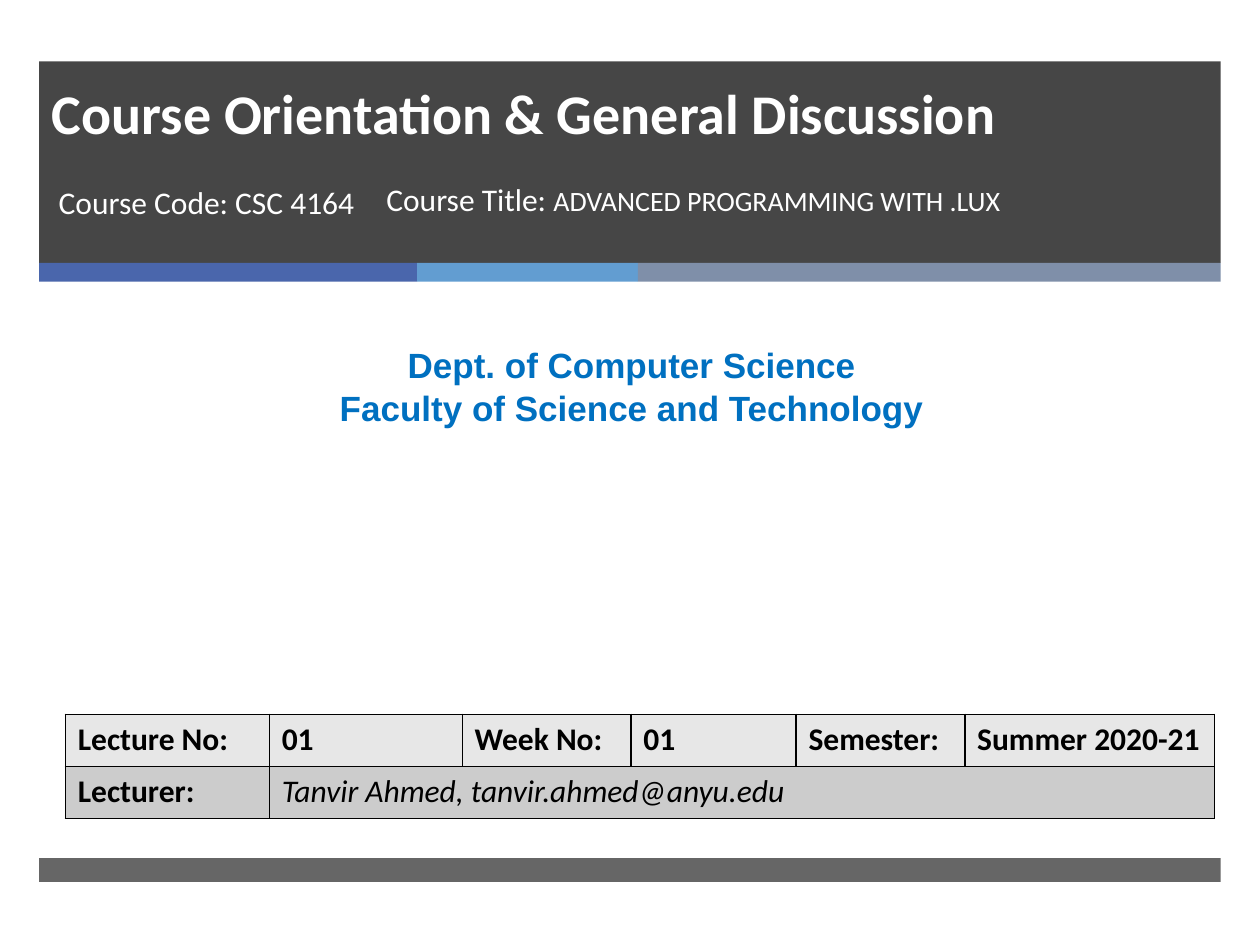
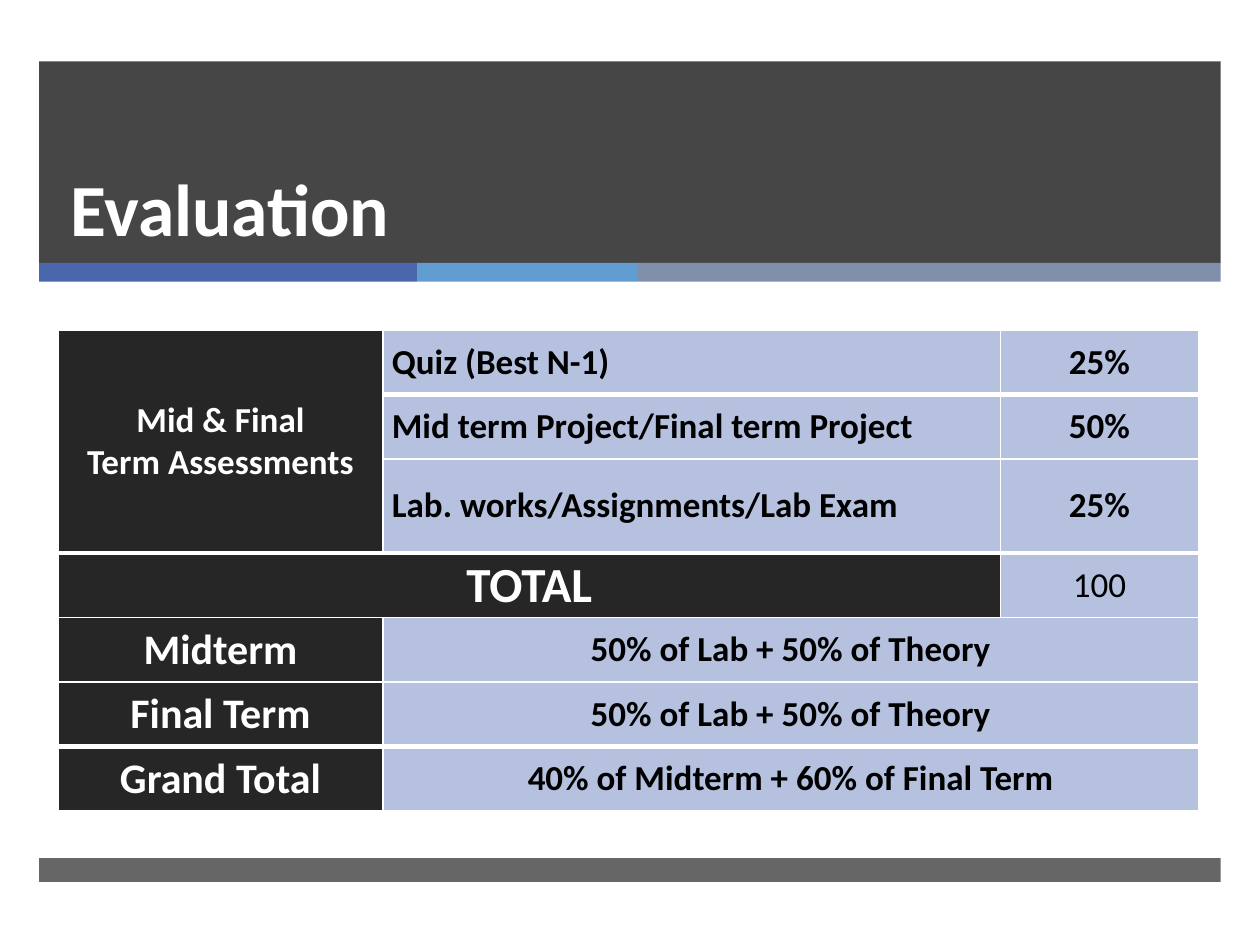
from dataclasses import dataclass

from pptx import Presentation
from pptx.dml.color import RGBColor
from pptx.enum.shapes import MSO_SHAPE
from pptx.enum.text import MSO_ANCHOR, MSO_AUTO_SIZE, PP_ALIGN
from pptx.oxml.ns import qn
from pptx.util import Cm, Pt
from lxml.etree import SubElement

WHITE, BLACK, DARK = "FFFFFF", "000000", "262626"
BLUE, PALE_BLUE = "0070C0", "B5C1DF"
LIGHT_GRAY, MID_GRAY = "E7E7E7", "CCCCCC"
STRIPES = [("4A66AC", 7.62), ("629DD1", 4.45), ("7F8FA9", 11.75)]
EDGE = 0.79
BAND_WIDTH = sum(width for _, width in STRIPES)


def color(value):
    return RGBColor.from_string(value)


@dataclass
class TextStyle:
    size: float
    color: str = BLACK
    bold: bool = False
    italic: bool = False
    align: PP_ALIGN = PP_ALIGN.LEFT
    font: str = "Calibri"
    fill: str = ""


class Deck:
    def __init__(self):
        self.presentation = Presentation()
        self.presentation.slide_width = Cm(25.4)
        self.presentation.slide_height = Cm(19.05)
        self.layout = self.presentation.slide_layouts[0]
        self.slide = None

    def add_slide(self):
        self.slide = self.presentation.slides.add_slide(self.layout)

    def rectangle(self, left, top, width, height, fill, opacity=100):
        shape = self.slide.shapes.add_shape(
            MSO_SHAPE.RECTANGLE, Cm(left), Cm(top), Cm(width), Cm(height))
        shape.shadow.inherit = False
        shape.fill.solid()
        shape.fill.fore_color.rgb = color(fill)
        shape.line.fill.background()
        if opacity < 100:
            tint = shape.element.spPr.find(qn("a:solidFill"))[0]
            SubElement(tint, qn("a:alpha")).set("val", str(opacity * 1000))
        return shape

    def bands_on_layout(self):
        shapes = [self.rectangle(EDGE, 1.24, BAND_WIDTH, 4.06, DARK, 85)]
        left = EDGE
        for fill, width in STRIPES:
            shapes.append(self.rectangle(left, 5.3, width, 0.38, fill))
            left += width
        shapes.append(self.rectangle(EDGE, 17.3, BAND_WIDTH, 0.48, DARK, 70))
        for position, shape in enumerate(shapes):
            shape.element.nvSpPr.cNvPr.id = 20 + position
            self.layout.shapes.element.insert(2 + position, shape.element)

    def format(self, text_frame, style):
        for paragraph in text_frame.paragraphs:
            paragraph.alignment = style.align
            paragraph.space_before = Pt(0)
            for run in paragraph.runs:
                font = run.font
                font.name = style.font
                font.size = Pt(style.size)
                font.bold = style.bold
                font.italic = style.italic
                font.color.rgb = color(style.color)

    def fill_text(self, shape, box, text, style, anchor):
        shape.left, shape.top, shape.width, shape.height = map(Cm, box)
        text_frame = shape.text_frame
        text_frame.text = text
        text_frame.word_wrap = True
        text_frame.auto_size = MSO_AUTO_SIZE.NONE
        text_frame.vertical_anchor = anchor
        self.format(text_frame, style)
        return text_frame

    def title(self, box, text, size, line_spacing=None):
        style = TextStyle(size, WHITE, bold=True)
        text_frame = self.fill_text(
            self.slide.shapes.title, box, text, style, MSO_ANCHOR.BOTTOM)
        if line_spacing:
            text_frame.paragraphs[0].line_spacing = Pt(line_spacing)

    def subtitle(self, box, text, style):
        self.fill_text(self.slide.placeholders[1], box, text, style, MSO_ANCHOR.TOP)

    def remove_subtitle(self):
        element = self.slide.placeholders[1].element
        element.getparent().remove(element)

    def text_box(self, box, text, style):
        shape = self.slide.shapes.add_textbox(*map(Cm, box))
        return self.fill_text(shape, box, text, style, MSO_ANCHOR.TOP)

    def borders(self, cell, line_color, top, bottom):
        properties = cell._tc.get_or_add_tcPr()
        for side, width in (("L", 1), ("R", 1), ("T", top), ("B", bottom)):
            line = SubElement(properties, qn(f"a:ln{side}"))
            line.set("w", str(Pt(width)))
            fill = SubElement(line, qn("a:solidFill"))
            SubElement(fill, qn("a:srgbClr")).set("val", line_color)

    def table(self, left, top, widths, heights, rows, merges, line_color,
              margins=(0.25, 0.13), anchor=MSO_ANCHOR.TOP, thick_after=()):
        table = self.slide.shapes.add_table(
            len(heights), len(widths), Cm(left), Cm(top),
            Cm(sum(widths)), Cm(sum(heights))).table
        table.first_row = table.horz_banding = False
        for column, width in zip(table.columns, widths):
            column.width = Cm(width)
        for row, height in zip(table.rows, heights):
            row.height = Cm(height)
        for first, last in merges:
            table.cell(*first).merge(table.cell(*last))
        for row_index, row in enumerate(rows):
            for column_index, content in enumerate(row):
                cell = table.cell(row_index, column_index)
                if content is None:
                    self.borders(cell, line_color, 1, 1)
                    continue
                text, style = content
                last_row = row_index + cell.span_height - 1 if cell.is_merge_origin else row_index
                self.borders(cell, line_color,
                             3 if row_index - 1 in thick_after else 1,
                             3 if last_row in thick_after else 1)
                cell.fill.solid()
                cell.fill.fore_color.rgb = color(style.fill)
                cell.margin_left = cell.margin_right = Cm(margins[0])
                cell.margin_top = cell.margin_bottom = Cm(margins[1])
                cell.vertical_anchor = anchor
                cell.text_frame.text = text
                self.format(cell.text_frame, style)


def cover_slide(deck):
    course = TextStyle(18, WHITE)
    deck.title((EDGE, 1.65, 22.07, 1.42), "Course Orientation & General Discussion", 32)
    deck.subtitle((0.93, 3.56, 6.62, 1.96), "Course Code: CSC 4164", course)
    deck.text_box(
        (0.2, 6.81, 25.07, 1.96),
        "Dept. of Computer Science\nFaculty of Science and Technology",
        TextStyle(20, BLUE, bold=True, align=PP_ALIGN.CENTER, font="Arial"))

    heading = TextStyle(18, bold=True, fill=LIGHT_GRAY)
    lecturer = TextStyle(18, bold=True, fill=MID_GRAY)
    name = TextStyle(18, italic=True, fill=MID_GRAY)
    details = ["Lecture No:", "01", "Week No:", "01", "Semester:", "Summer 2020-21"]
    rows = [
        [(text, heading) for text in details],
        [("Lecturer:", lecturer), ("Tanvir Ahmed, tanvir.ahmed@anyu.edu", name)] + [None] * 4,
    ]
    deck.table(1.32, 14.4, [4.11, 3.89, 3.4, 3.33, 3.4, 5.03], [1.05] * 2,
               rows, [((1, 1), (1, 5))], BLACK)

    text_frame = deck.text_box((7.54, 3.51, 13.26, 1.96), "Course Title: ", course)
    run = text_frame.paragraphs[0].add_run()
    run.text = "ADVANCED PROGRAMMING WITH .LUX"
    deck.format(text_frame, course)
    run.font.size = Pt(16)


def evaluation_slide(deck):
    deck.title((1.17, 1.57, 19.58, 3.63), "Evaluation", 42, line_spacing=46)
    deck.remove_subtitle()

    center = PP_ALIGN.CENTER
    group = TextStyle(20, WHITE, bold=True, align=center, fill=DARK)
    total = TextStyle(28, WHITE, bold=True, align=center, fill=DARK)
    term = TextStyle(24, WHITE, bold=True, align=center, fill=DARK)
    item = TextStyle(20, bold=True, fill=PALE_BLUE)
    share = TextStyle(20, bold=True, align=center, fill=PALE_BLUE)
    points = TextStyle(20, align=center, fill=PALE_BLUE)
    half = "50% of Lab + 50% of Theory"
    rows = [
        [("Mid & Final\nTerm Assessments", group), ("Quiz (Best N-1)", item), ("25%", share)],
        [None, ("Mid term Project/Final term Project", item), ("50%", share)],
        [None, ("Lab. works/Assignments/Lab Exam", item), ("25%", share)],
        [("TOTAL", total), None, ("100", points)],
        [("Midterm", term), (half, share), None],
        [("Final Term", term), (half, share), None],
        [("Grand Total", term), ("40% of Midterm + 60% of Final Term", share), None],
    ]
    merges = [((0, 0), (2, 0)), ((3, 0), (3, 1))]
    merges += [((row, 1), (row, 2)) for row in (4, 5, 6)]
    deck.table(1.17, 6.65, [6.55, 12.45, 3.99], [1.3, 1.3, 1.9] + [1.3] * 4,
               rows, merges, WHITE, margins=(0.18, 0),
               anchor=MSO_ANCHOR.MIDDLE, thick_after=(0, 2, 5))


deck = Deck()
deck.add_slide()
deck.bands_on_layout()
cover_slide(deck)
deck.add_slide()
evaluation_slide(deck)
deck.presentation.save("out.pptx")
